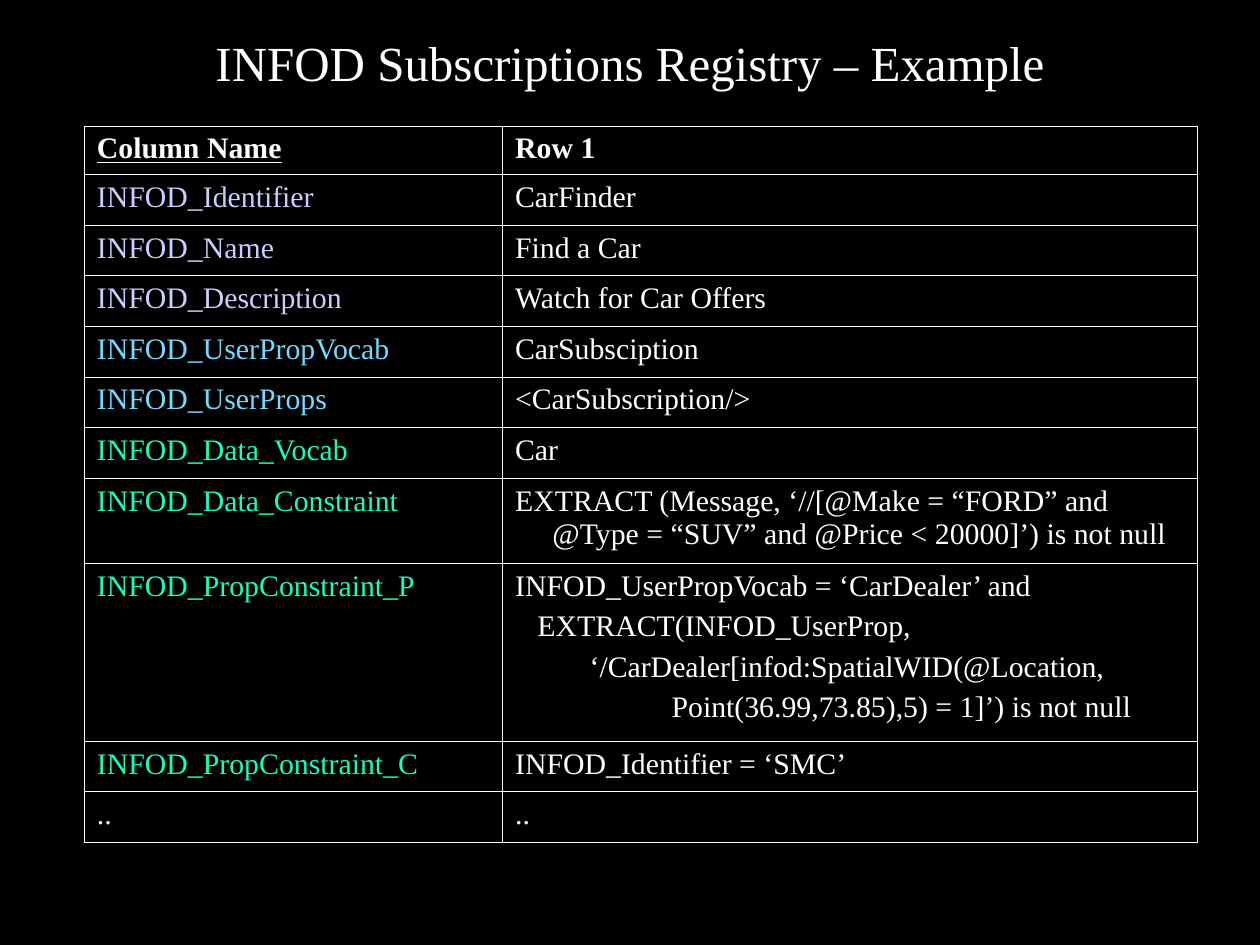
from dataclasses import dataclass
from pptx import Presentation
from pptx.dml.color import RGBColor as Rgb
from pptx.enum.text import MSO_ANCHOR as Anchor, PP_ALIGN as Align
from pptx.oxml import parse_xml
from pptx.oxml.ns import nsdecls
from pptx.util import Cm, Pt


@dataclass(frozen=True)
class Theme:
    font: str = "Times New Roman"
    background: str = "000000"
    text: str = "FFFFFF"
    identity: str = "CCCCFF"
    user: str = "73DAFF"
    data: str = "13FFC1"
    more: str = "FFFFD9"
    title_size: float = 28
    cell_size: float = 17
    line_gap: float = 4.2
    border_width: float = 0.45


class RegistrySlide:
    def __init__(self, deck, theme):
        self.theme = theme
        self.slide = deck.slides.add_slide(deck.slide_layouts[5])
        backdrop = self.slide.background.fill
        backdrop.solid()
        backdrop.fore_color.rgb = Rgb.from_string(theme.background)

    def style(self, paragraph, size, color, bold=False, underline=False):
        for run in paragraph.runs:
            font = run.font
            font.name = self.theme.font
            font.size = Pt(size)
            font.bold = bold
            font.underline = underline
            font.color.rgb = Rgb.from_string(color)

    def title(self, wording, left, top, width, height):
        heading = self.slide.shapes.title
        heading.left, heading.top = Cm(left), Cm(top)
        heading.width, heading.height = Cm(width), Cm(height)
        frame = heading.text_frame
        frame.text = wording
        frame.vertical_anchor = Anchor.MIDDLE
        frame.paragraphs[0].alignment = Align.CENTER
        self.style(frame.paragraphs[0], self.theme.title_size, self.theme.text)

    def borders(self, cell):
        properties = cell._tc.get_or_add_tcPr()
        for index, side in enumerate("LRTB"):
            properties.insert(index, parse_xml(
                f'<a:ln{side} {nsdecls("a")} w="{Pt(self.theme.border_width)}">'
                f'<a:solidFill><a:srgbClr val="{self.theme.text}"/></a:solidFill>'
                f'</a:ln{side}>'))

    def cell(self, cell, wording, color, bold=False, underline=False):
        cell.fill.solid()
        cell.fill.fore_color.rgb = Rgb.from_string(self.theme.background)
        self.borders(cell)
        cell.text_frame.text = wording
        for index, paragraph in enumerate(cell.text_frame.paragraphs):
            paragraph.space_before = Pt(self.theme.line_gap if index else 0)
            self.style(paragraph, self.theme.cell_size, color, bold, underline)

    def table(self, entries, left, top, widths, heights):
        grid = self.slide.shapes.add_table(
            len(entries), len(widths), Cm(left), Cm(top),
            Cm(sum(widths)), Cm(sum(heights))).table
        grid.horz_banding = grid.first_row = False
        for column, width in zip(grid.columns, widths):
            column.width = Cm(width)
        for index, (name, value, color) in enumerate(entries):
            header = index == 0
            grid.rows[index].height = Cm(heights[index])
            self.cell(grid.cell(index, 0), name, color, header, header)
            self.cell(grid.cell(index, 1), value, self.theme.text, header)


def main():
    deck = Presentation()
    deck.slide_width, deck.slide_height = Cm(25.4), Cm(19.05)
    theme = Theme()
    registry = RegistrySlide(deck, theme)
    registry.title("INFOD Subscriptions Registry – Example", 1.9, 0.2, 21.6, 2.1)

    data_constraint = (
        "EXTRACT (Message, ‘//[@Make = “FORD” and\v"
        "     @Type = “SUV” and @Price < 20000]’) is not null")
    property_constraint = "\n".join([
        "INFOD_UserPropVocab = ‘CarDealer’ and",
        "   EXTRACT(INFOD_UserProp,",
        "          ‘/CarDealer[infod:SpatialWID(@Location,",
        "                     Point(36.99,73.85),5) = 1]’) is not null"])
    entries = [
        ("Column Name", "Row 1", theme.text),
        ("INFOD_Identifier", "CarFinder", theme.identity),
        ("INFOD_Name", "Find a Car", theme.identity),
        ("INFOD_Description", "Watch for Car Offers", theme.identity),
        ("INFOD_UserPropVocab", "CarSubsciption", theme.user),
        ("INFOD_UserProps", "<CarSubscription/>", theme.user),
        ("INFOD_Data_Vocab", "Car", theme.data),
        ("INFOD_Data_Constraint", data_constraint, theme.data),
        ("INFOD_PropConstraint_P", property_constraint, theme.data),
        ("INFOD_PropConstraint_C", "INFOD_Identifier = ‘SMC’", theme.data),
        ("..", "..", theme.more),
    ]
    heights = [0.98] + [1.02] * 6 + [1.71, 3.59] + [1.02] * 2
    registry.table(entries, 1.7, 2.54, [8.43, 14], heights)
    deck.save("out.pptx")


if __name__ == "__main__":
    main()
